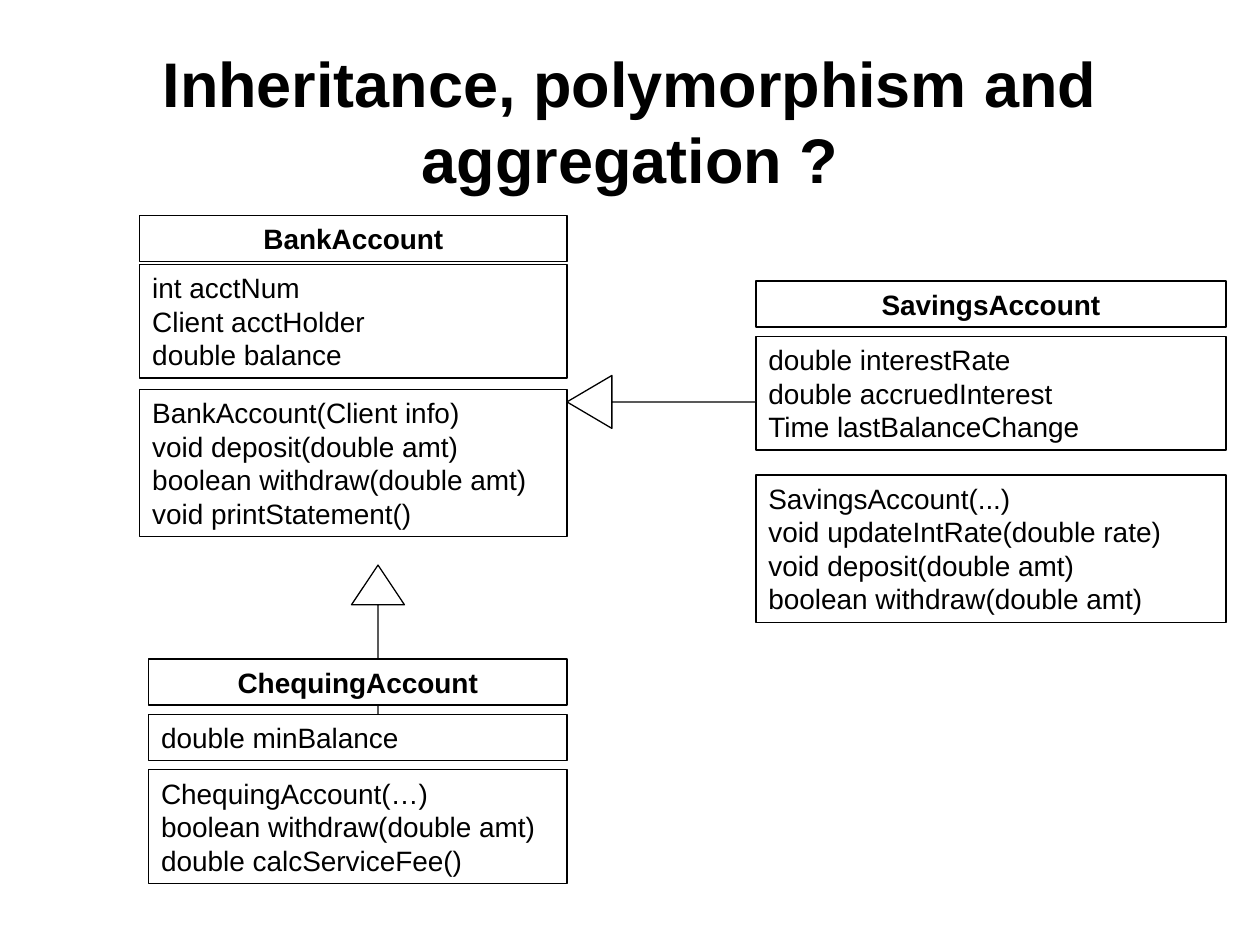
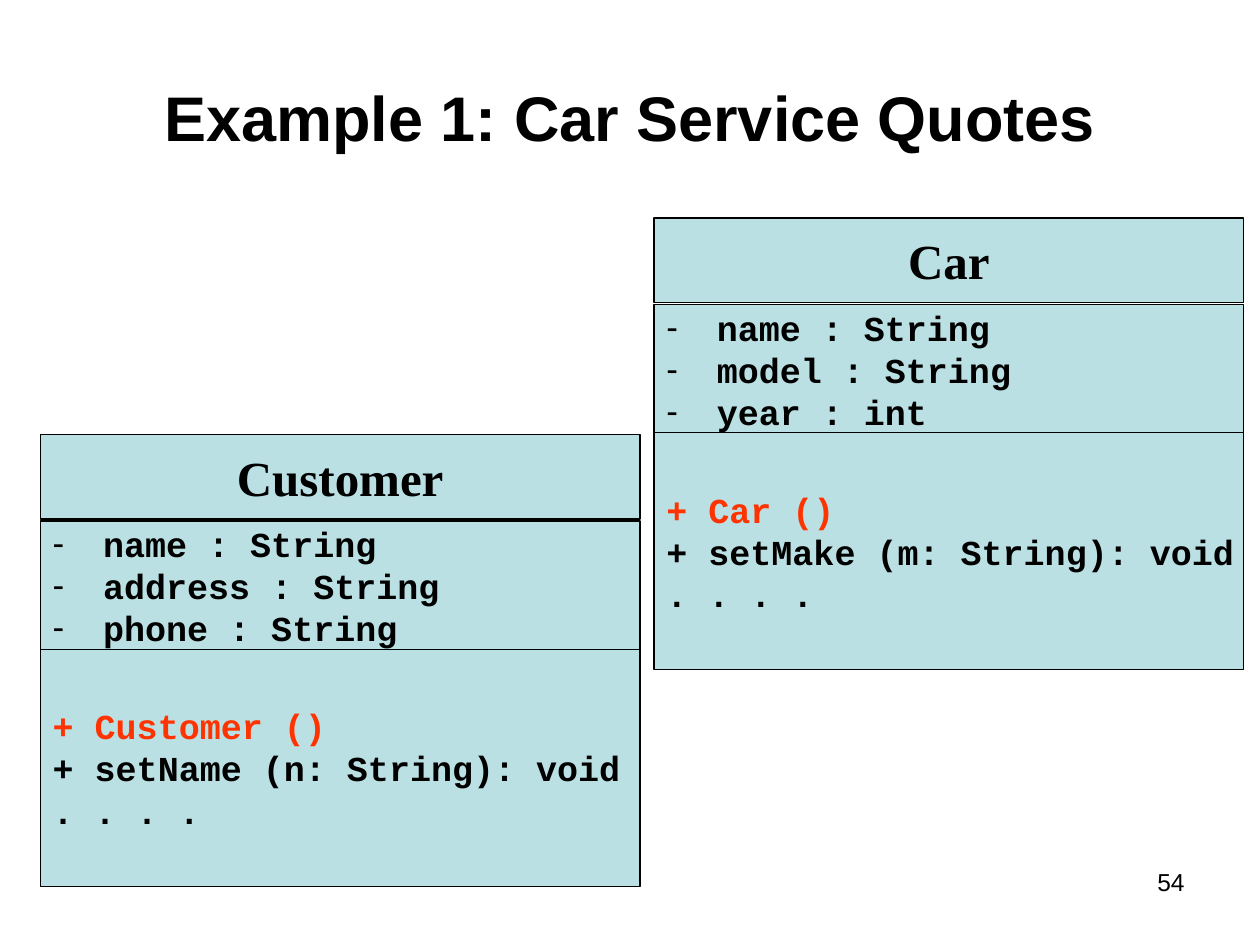
from pptx import Presentation
from pptx import util as u
from pptx.dml.color import RGBColor
from pptx.enum import shapes, text
from pptx.oxml.ns import qn
from lxml import etree

# Grid of 100 columns by 75 rows
COLUMNS, ROWS = 100, 75
BLACK, WHITE, TEAL, RED = "000000", "FFFFFF", "BBE0E3", "FF3300"
SANS, SERIF, MONO = "Arial", "Times New Roman", "Courier New"
LEFT, CENTER, RIGHT = text.PP_ALIGN.LEFT, text.PP_ALIGN.CENTER, text.PP_ALIGN.RIGHT
TOP, MIDDLE = text.MSO_ANCHOR.TOP, text.MSO_ANCHOR.MIDDLE


def color(value):
    return RGBColor.from_string(value)


def add_dash(paragraph, indent=0.4):
    """Hang the paragraph on a dash bullet."""
    properties = paragraph._p.get_or_add_pPr()
    properties.set("marL", str(u.Inches(indent)))
    properties.set("indent", str(-u.Inches(indent)))
    font = etree.SubElement(properties, qn("a:buFont"))
    font.set("typeface", SANS)
    etree.SubElement(properties, qn("a:buChar")).set("char", "-")


def write(shape, lines, size=16, font=SANS, bold=False, align=LEFT, anchor=TOP,
          first_color=BLACK, dashes=False, right_inset=0.1):
    """Write one paragraph per line; the first line may have its own colour."""
    frame = shape.text_frame
    frame.word_wrap = True
    frame.vertical_anchor = anchor
    frame.margin_left, frame.margin_right = u.Inches(0.1), u.Inches(right_inset)
    frame.margin_top = frame.margin_bottom = u.Inches(0.05)
    for index, line in enumerate(lines):
        paragraph = frame.add_paragraph() if index else frame.paragraphs[0]
        paragraph.alignment = align
        if dashes:
            add_dash(paragraph)
        run = paragraph.add_run()
        run.text = line
        run.font.name, run.font.size, run.font.bold = font, u.Pt(size), bold
        run.font.color.rgb = color(BLACK if index else first_color)


class Deck:
    def __init__(self):
        self.presentation = Presentation()
        self.presentation.slide_width = u.Inches(10)
        self.presentation.slide_height = u.Inches(7.5)
        self.slide = None

    def place(self, column, row, width, height):
        across = self.presentation.slide_width / COLUMNS
        down = self.presentation.slide_height / ROWS
        return [round(n) for n in (column * across, row * down, width * across, height * down)]

    def new_slide(self):
        self.slide = self.presentation.slides.add_slide(self.presentation.slide_layouts[6])

    def label(self, area, line, **style):
        write(self.slide.shapes.add_textbox(*self.place(*area)), [line], **style)

    def title(self, area, line):
        self.label(area, line, size=36, bold=True, align=CENTER, anchor=MIDDLE)

    def shape(self, kind, area, fill):
        shape = self.slide.shapes.add_shape(kind, *self.place(*area))
        shape.shadow.inherit = False
        shape.fill.solid()
        shape.fill.fore_color.rgb = color(fill)
        shape.line.color.rgb = color(BLACK)
        shape.line.width = u.Pt(0.75)
        return shape

    def box(self, area, lines, fill=WHITE, **style):
        write(self.shape(shapes.MSO_SHAPE.RECTANGLE, area, fill), lines, **style)

    def inheritance_arrow(self, area, head, rotation=0):
        arrow = self.shape(shapes.MSO_SHAPE.LEFT_ARROW, area, WHITE)
        arrow.adjustments[0], arrow.adjustments[1] = 0, head
        arrow.rotation = rotation

    def outline_class(self, column, width, rows, name, fields, methods):
        """White class diagram whose box heights follow their line counts."""
        for row, lines in zip(rows, ([name], fields, methods)):
            heading = lines == [name]
            self.box((column, row, width, 1 + 2.67 * len(lines)), lines,
                     bold=heading, align=CENTER if heading else LEFT)

    def filled_class(self, column, row, width, name, fields, methods):
        """Teal class diagram with three stacked compartments."""
        code = dict(size=20, font=MONO, right_inset=0)
        compartments = (
            (0, 6.7, [name], dict(size=28, font=SERIF, align=CENTER)),
            (6.85, 10.3, fields, dict(code, dashes=True)),
            (17.05, 18.8, methods, dict(code, first_color=RED)),
        )
        for offset, height, lines, style in compartments:
            self.box((column, row + offset, width, height), lines, fill=TEAL,
                     bold=True, anchor=MIDDLE, **style)


def build_inheritance(deck):
    deck.new_slide()
    deck.inheritance_arrow((23.35, 49.4, 13.3, 4.2), 0.75, rotation=90)
    deck.title((7.5, 3.3, 85, 12.5), "Inheritance, polymorphism and aggregation ?")
    deck.outline_class(
        11.1, 33.9, (17.1, 21, 30.9), "BankAccount",
        ["int acctNum", "Client acctHolder", "double balance"],
        ["BankAccount(Client info)", "void deposit(double amt)",
         "boolean withdraw(double amt)", "void printStatement()"])
    deck.outline_class(
        60, 37.3, (22.3, 26.7, 37.7), "SavingsAccount",
        ["double interestRate", "double accruedInterest", "Time lastBalanceChange"],
        ["SavingsAccount(...)", "void updateIntRate(double rate)",
         "void deposit(double amt)", "boolean withdraw(double amt)"])
    deck.inheritance_arrow((45, 29.8, 15, 4.2), 0.85)
    deck.outline_class(
        11.8, 33.2, (52.3, 56.7, 61.1), "ChequingAccount",
        ["double minBalance"],
        ["ChequingAccount(…)", "boolean withdraw(double amt)", "double calcServiceFee()"])


def build_car_service(deck):
    deck.new_slide()
    deck.label((71.7, 68.3, 23.3, 5.2), "54", size=14, align=RIGHT)
    deck.filled_class(
        3.2, 34.5, 47.6, "Customer",
        ["name : String", "address : String", "phone : String"],
        ["+ Customer ()", "+ setName (n: String): void", ". . . ."])
    deck.filled_class(
        51.9, 17.3, 46.8, "Car",
        ["name : String", "model : String", "year : int"],
        ["+ Car ()", "+ setMake (m: String): void", ". . . ."])
    deck.title((5, 3, 90, 12.5), "Example 1: Car Service Quotes")


def main():
    deck = Deck()
    build_inheritance(deck)
    build_car_service(deck)
    deck.presentation.save("out.pptx")


if __name__ == "__main__":
    main()
